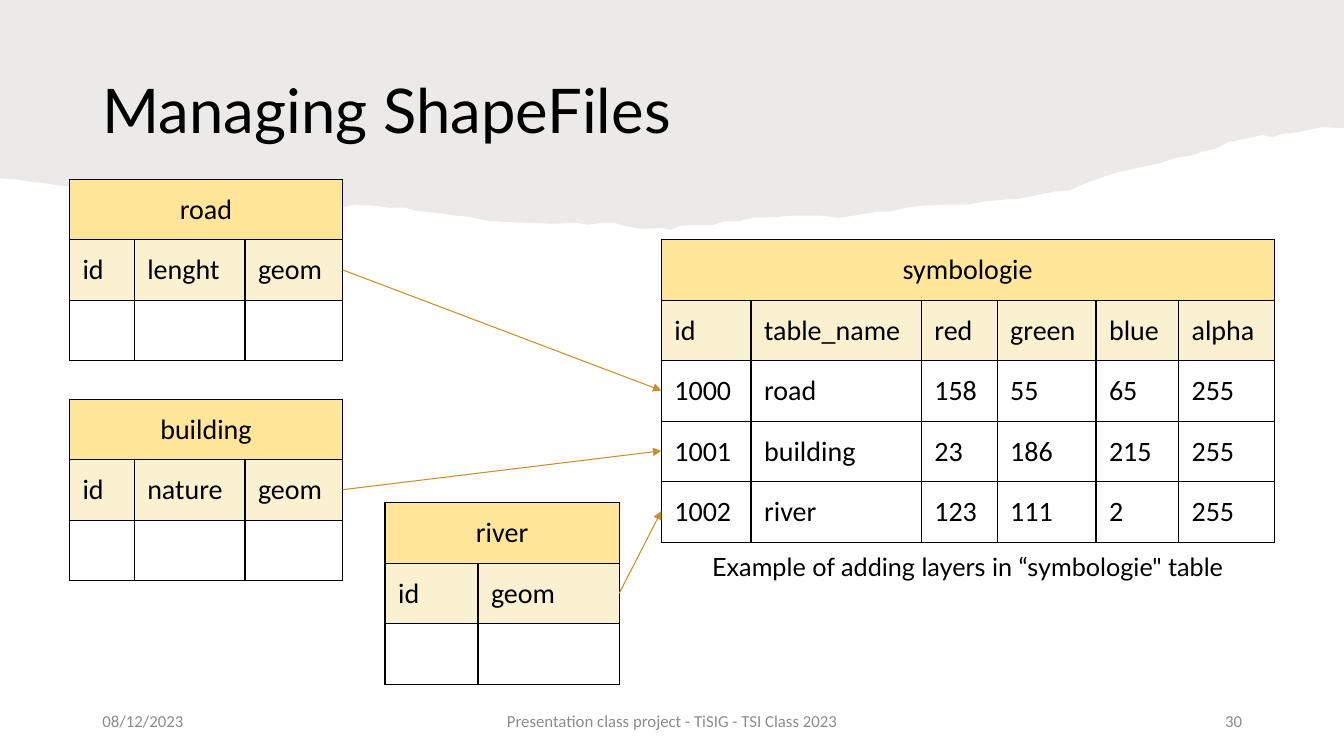
from dataclasses import dataclass

from lxml.etree import SubElement
from pptx import Presentation
from pptx.dml.color import RGBColor
from pptx.enum.shapes import MSO_CONNECTOR
from pptx.enum.text import MSO_ANCHOR, PP_ALIGN
from pptx.oxml import parse_xml
from pptx.oxml.ns import nsdecls, qn
from pptx.slide import Slide
from pptx.util import Cm, Pt

BLACK = RGBColor(0x00, 0x00, 0x00)
GREY = RGBColor(0x8C, 0x8C, 0x8C)
TAUPE = RGBColor(0x82, 0x76, 0x6A)
GOLD = RGBColor(0xC7, 0x91, 0x25)
HEADER_FILL = RGBColor(0xFF, 0xE6, 0x99)
FIELD_FILL = RGBColor(0xF9, 0xF1, 0xD0)

INCH = 2.54
ROW_HEIGHT = 1.52
CELL_MARGIN = 0.33

TORN_EDGE = [
    (13.33, 1.27), (13.29, 1.27), (13.12, 1.26), (12.98, 1.29), (12.82, 1.32),
    (12.7, 1.33), (12.63, 1.36), (12.52, 1.34), (12.29, 1.39), (12.18, 1.41),
    (12.05, 1.48), (11.93, 1.5), (11.84, 1.54), (11.69, 1.56), (11.62, 1.58),
    (11.5, 1.62), (11.36, 1.65), (11.3, 1.66), (11.05, 1.72), (10.84, 1.79),
    (10.69, 1.85), (10.61, 1.89), (10.46, 1.9), (10.31, 1.93), (10.12, 1.97),
    (9.95, 1.98), (9.77, 2), (9.58, 2.03), (9.37, 2.03), (9.14, 2.04),
    (8.99, 2.06), (8.82, 2.1), (8.69, 2.1), (8.47, 2.14), (8.32, 2.16),
    (8.15, 2.14), (7.87, 2.14), (7.59, 2.16), (7.47, 2.16), (7.35, 2.19),
    (7.18, 2.2), (7.07, 2.23), (6.91, 2.23), (6.74, 2.24), (6.65, 2.28),
    (6.56, 2.26), (6.36, 2.27), (6.18, 2.24), (6.1, 2.21), (5.98, 2.21),
    (5.84, 2.23), (5.72, 2.21), (5.5, 2.22), (5.2, 2.21), (4.97, 2.2),
    (4.83, 2.19), (4.74, 2.17), (4.64, 2.15), (4.52, 2.14), (4.39, 2.12),
    (4.12, 2.09), (4.02, 2.06), (3.86, 2.06), (3.7, 2.04), (3.53, 2.03),
    (3.43, 2.05), (3.11, 2.09), (2.98, 2.09), (2.81, 2.12), (2.54, 2.12),
    (2.38, 2.11), (2.22, 2.08), (2.05, 2.06), (1.93, 2.03), (1.85, 1.99),
    (1.64, 1.97), (1.52, 1.92), (1.44, 1.89), (1.28, 1.89), (1.05, 1.88),
    (0.92, 1.86), (0.81, 1.86), (0.58, 1.84), (0.46, 1.82), (0.29, 1.8),
    (0.16, 1.78), (0, 1.77),
]


@dataclass(frozen=True)
class DbTable:
    left: float
    top: float
    widths: list[float]
    name: str
    rows: list[list[str]]

    @property
    def right(self) -> float:
        return self.left + sum(self.widths)

    def row_middle(self, row: int) -> float:
        return self.top + ROW_HEIGHT * (row + 0.5)


@dataclass(frozen=True)
class Label:
    left: float
    top: float
    width: float
    height: float
    text: str
    font: str
    size: int
    color: RGBColor
    align: PP_ALIGN = PP_ALIGN.LEFT
    anchor: MSO_ANCHOR = MSO_ANCHOR.MIDDLE
    spacing: float = 1.0


LAYER_WIDTHS = [1.63, 2.79, 2.46]
LAYERS = [
    DbTable(1.75, 4.52, LAYER_WIDTHS, "road", [["id", "lenght", "geom"], [""] * 3]),
    DbTable(1.75, 10.06, LAYER_WIDTHS, "building", [["id", "nature", "geom"], [""] * 3]),
    DbTable(9.7, 12.67, [2.34, 3.56], "river", [["id", "geom"], [""] * 2]),
]
SYMBOLOGIE = DbTable(
    16.66, 6.04, [2.26, 4.29, 1.91, 2.49, 2.08, 2.41], "symbologie",
    [
        ["id", "table_name", "red", "green", "blue", "alpha"],
        ["1000", "road", "158", "55", "65", "255"],
        ["1001", "building", "23", "186", "215", "255"],
        ["1002", "river", "123", "111", "2", "255"],
    ],
)
LABELS = [
    Label(2.33, 1.01, 29.21, 3.68, "Managing ShapeFiles", "Lato", 44, BLACK, spacing=0.9),
    Label(17.32, 13.77, 14.12, 1.02, "Example of adding layers in “symbologie\" table",
          "Lato", 18, BLACK, PP_ALIGN.CENTER, MSO_ANCHOR.TOP),
    Label(2.33, 17.65, 7.62, 1.02, "08/12/2023", "Calibri", 12, GREY),
    Label(11.22, 17.65, 11.43, 1.02, "Presentation class project - TiSIG - TSI Class 2023",
          "Calibri", 12, GREY, PP_ALIGN.CENTER),
    Label(23.92, 17.65, 7.62, 1.02, "30", "Calibri", 12, GREY, PP_ALIGN.RIGHT),
]


def draw_torn_paper(s: Slide) -> None:
    points = [(Cm(x * INCH), Cm(y * INCH)) for x, y in [(13.33, 0)] + TORN_EDGE]
    builder = s.shapes.build_freeform(0, 0)
    builder.add_line_segments(points, close=True)
    sp = builder.convert_to_shape()
    sp.shadow.inherit = False
    sp.line.fill.background()
    sp.fill.solid()
    sp.fill.fore_color.rgb = TAUPE
    color = sp._element.spPr.find(qn("a:solidFill"))[0]
    SubElement(color, qn("a:alpha"), val="15000")


def format_cell(cell, text: str, row: int) -> None:
    cell.margin_left = cell.margin_right = Cm(CELL_MARGIN)
    cell.margin_top = cell.margin_bottom = Cm(CELL_MARGIN)
    if row < 2:
        cell.fill.solid()
        cell.fill.fore_color.rgb = HEADER_FILL if row == 0 else FIELD_FILL
    else:
        cell.fill.background()
    for i, side in enumerate(("lnL", "lnR", "lnT", "lnB")):
        border = parse_xml(
            f'<a:{side} {nsdecls("a")} w="12700"><a:solidFill>'
            f'<a:srgbClr val="{BLACK}"/></a:solidFill></a:{side}>'
        )
        cell._tc.tcPr.insert(i, border)
    p = cell.text_frame.paragraphs[0]
    p.text = text
    p.alignment = PP_ALIGN.CENTER if row == 0 else PP_ALIGN.LEFT
    for r in p.runs:
        r.font.name = "Calibri"
        r.font.size = Pt(20)
        r.font.color.rgb = BLACK


def draw_table(s: Slide, db: DbTable) -> None:
    n_cols = len(db.widths)
    rows = [[db.name] + [""] * (n_cols - 1)] + db.rows
    frame = s.shapes.add_table(
        len(rows), n_cols, Cm(db.left), Cm(db.top),
        Cm(sum(db.widths)), Cm(ROW_HEIGHT * len(rows)),
    )
    table = frame.table
    table.first_row = table.horz_banding = False
    for column, width in zip(table.columns, db.widths):
        column.width = Cm(width)
    for i, row in enumerate(rows):
        for j, text in enumerate(row):
            format_cell(table.cell(i, j), text, i)
    table.cell(0, 0).merge(table.cell(0, n_cols - 1))


def draw_arrow(s: Slide, layer: DbTable, target_row: int) -> None:
    line = s.shapes.add_connector(
        MSO_CONNECTOR.STRAIGHT, Cm(layer.right), Cm(layer.row_middle(1)),
        Cm(SYMBOLOGIE.left), Cm(SYMBOLOGIE.row_middle(target_row)),
    )
    line.line.color.rgb = GOLD
    line.line.width = Pt(0.75)
    SubElement(line.line._get_or_add_ln(), qn("a:tailEnd"), type="triangle")
    SubElement(line._element.spPr, qn("a:effectLst"))


def draw_label(s: Slide, label: Label) -> None:
    sp = s.shapes.add_textbox(
        Cm(label.left), Cm(label.top), Cm(label.width), Cm(label.height)
    )
    tf = sp.text_frame
    tf.word_wrap = True
    tf.vertical_anchor = label.anchor
    tf.text = label.text
    p = tf.paragraphs[0]
    p.alignment = label.align
    p.line_spacing = label.spacing
    r = p.runs[0]
    r.font.name = label.font
    r.font.size = Pt(label.size)
    r.font.color.rgb = label.color


def main() -> None:
    prs = Presentation()
    prs.slide_width = Cm(13.33 * INCH)
    prs.slide_height = Cm(7.5 * INCH)
    s = prs.slides.add_slide(prs.slide_layouts[6])
    draw_torn_paper(s)
    for db in LAYERS + [SYMBOLOGIE]:
        draw_table(s, db)
    for target_row, layer in enumerate(LAYERS, start=2):
        draw_arrow(s, layer, target_row)
    for label in LABELS:
        draw_label(s, label)
    prs.save("out.pptx")


if __name__ == "__main__":
    main()
